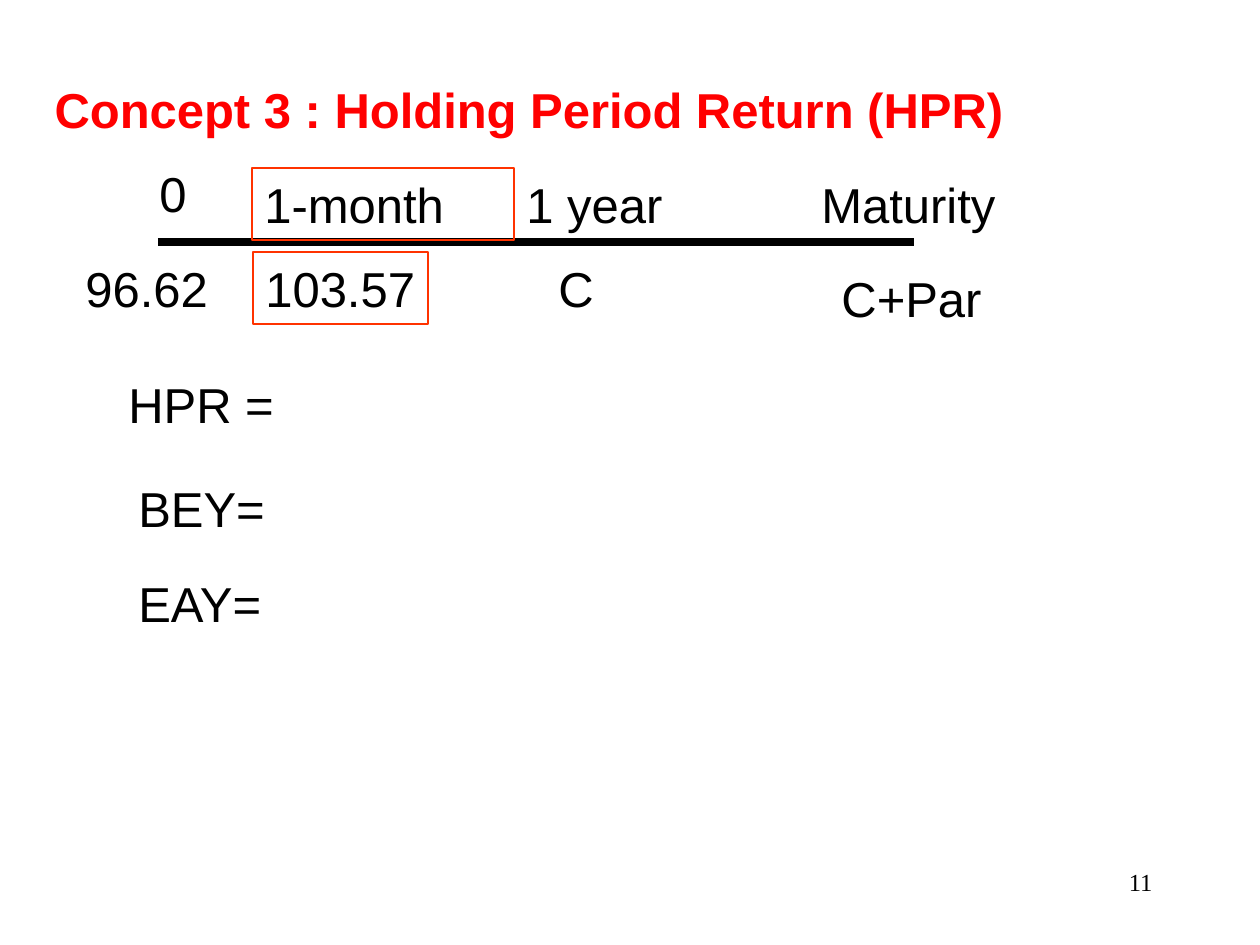
from dataclasses import dataclass

from lxml import etree
from pptx import Presentation
from pptx.dml.color import RGBColor
from pptx.enum.shapes import MSO_CONNECTOR, MSO_SHAPE
from pptx.enum.text import MSO_ANCHOR, MSO_AUTO_SIZE, PP_ALIGN
from pptx.oxml.ns import qn
from pptx.util import Emu, Pt

STRAIGHT = MSO_CONNECTOR.STRAIGHT
RECTANGLE = MSO_SHAPE.RECTANGLE
TOP = MSO_ANCHOR.TOP
NO_AUTO_SIZE = MSO_AUTO_SIZE.NONE
LEFT, RIGHT = PP_ALIGN.LEFT, PP_ALIGN.RIGHT

EMU_PER_PX = 914400 / 126
TITLE_ONLY = 5
LABEL_HEIGHT = 72
BLACK, RED, ORANGE = "000000", "FF0000", "FF3300"


@dataclass(frozen=True)
class Label:
    text: str
    left: int
    top: int
    width: int
    framed: bool = False
    wrap: bool = True


TIMELINE_LABELS = [
    Label("96.62", 73, 252, 149),
    Label("103.57", 253, 252, 175, framed=True, wrap=False),
    Label("0", 147, 157, 116),
    Label("1 year", 514, 168, 189),
    Label("1-month", 252, 168, 262, framed=True),
    Label("Maturity", 809, 168, 273),
    Label("C", 546, 252, 94),
    Label("C+Par", 829, 262, 168),
]
MEASURE_LABELS = [
    Label("HPR =", 116, 368, 189),
    Label("BEY=", 126, 472, 189),
    Label("EAY=", 126, 567, 189),
]


def px(length: int) -> Emu:
    return Emu(round(length * EMU_PER_PX))


def color(value: str) -> RGBColor:
    return RGBColor.from_string(value)


def write_text(shape, text: str, size: int = 28, font_name: str = "Arial",
               text_color: str = BLACK, bold: bool = False,
               alignment=LEFT, wrap: bool = True) -> None:
    frame = shape.text_frame
    frame.word_wrap = wrap
    frame.auto_size = NO_AUTO_SIZE
    frame.vertical_anchor = TOP
    paragraph = frame.paragraphs[0]
    paragraph.alignment = alignment
    run = paragraph.add_run()
    run.text = text
    run.font.name = font_name
    run.font.size = Pt(size)
    run.font.bold = bold
    run.font.color.rgb = color(text_color)


def add_title(slide, text: str) -> None:
    title = slide.shapes.title
    title.left, title.top = px(42), px(73)
    title.width, title.height = px(1218), px(LABEL_HEIGHT)
    write_text(title, text, text_color=RED, bold=True)


def add_label(slide, label: Label) -> None:
    box = px(label.left), px(label.top), px(label.width), px(LABEL_HEIGHT)
    if label.framed:
        shape = slide.shapes.add_shape(RECTANGLE, *box)
        shape.shadow.inherit = False
        shape.fill.background()
        shape.line.color.rgb = color(ORANGE)
        shape.line.width = Pt(0.75)
    else:
        shape = slide.shapes.add_textbox(*box)
    write_text(shape, label.text, wrap=label.wrap)


def add_timeline(slide, left: int, right: int, y: int) -> None:
    timeline = slide.shapes.add_connector(STRAIGHT, px(left), px(y), px(right), px(y))
    timeline.line.color.rgb = color(BLACK)
    timeline.line.width = Pt(4.5)
    etree.SubElement(timeline._element.spPr, qn("a:effectLst"))


def add_page_number(slide, number: str) -> None:
    box = slide.shapes.add_textbox(px(903), px(861), px(262), px(63))
    write_text(box, number, size=14, font_name="Times New Roman", alignment=RIGHT)


def main() -> None:
    presentation = Presentation()
    presentation.slide_width, presentation.slide_height = px(1260), px(945)
    slide = presentation.slides.add_slide(presentation.slide_layouts[TITLE_ONLY])
    add_title(slide, "Concept 3 : Holding Period Return (HPR)")
    add_timeline(slide, left=158, right=914, y=242)
    for label in TIMELINE_LABELS + MEASURE_LABELS:
        add_label(slide, label)
    add_page_number(slide, "11")
    presentation.save("out.pptx")


if __name__ == "__main__":
    main()
